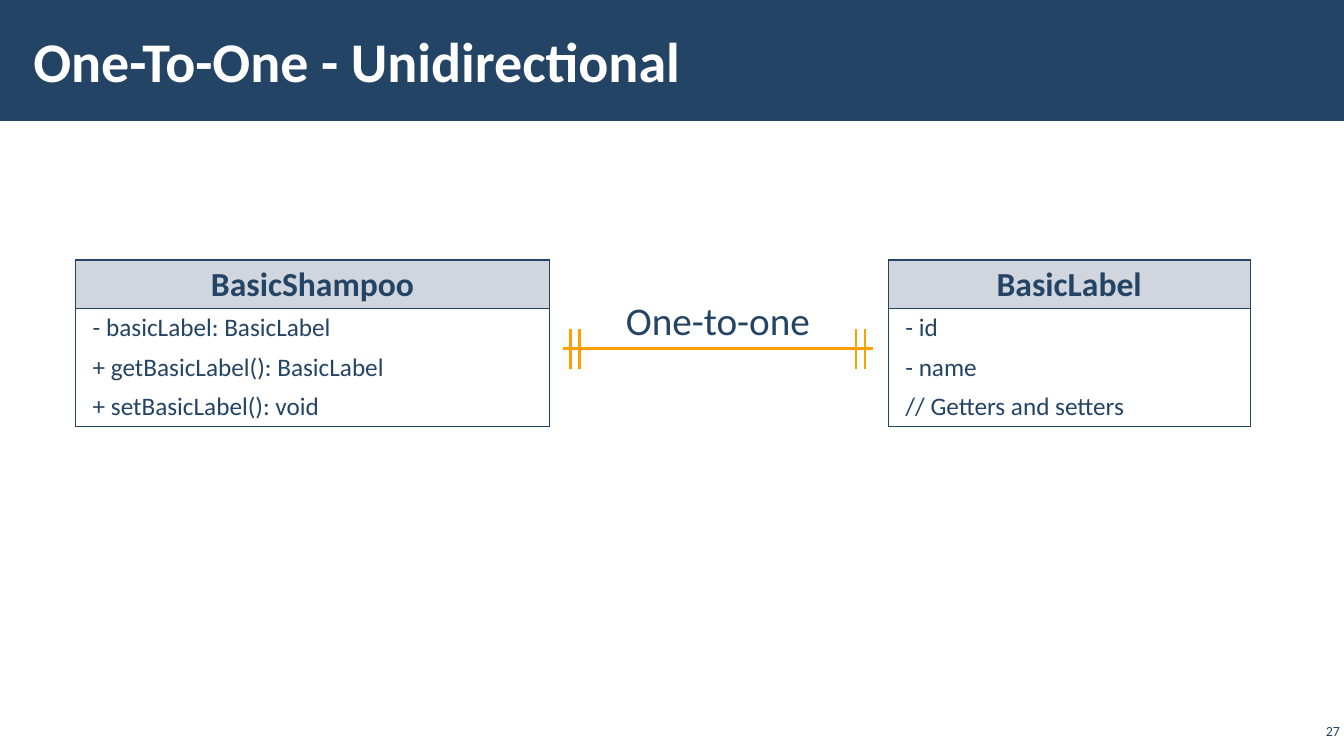
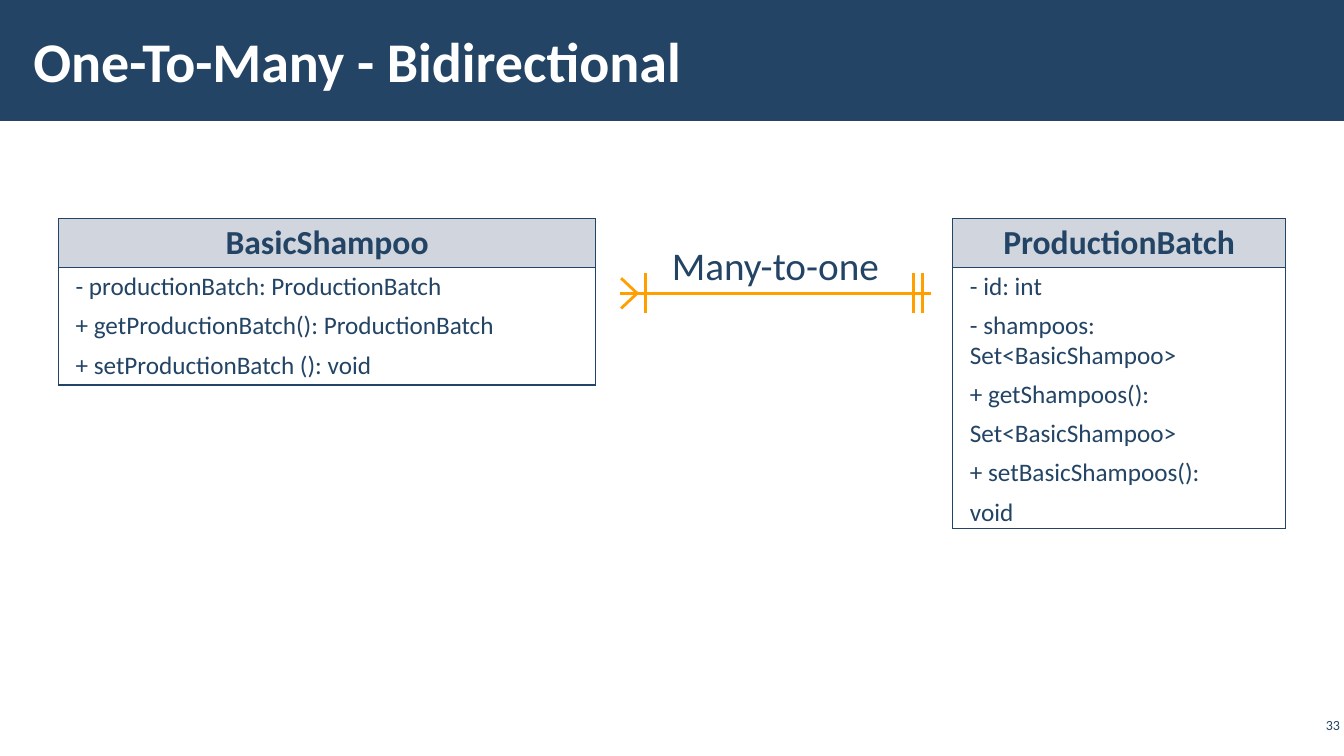
import pptx
import pptx.util
import pptx.dml.color
import pptx.enum.shapes
import pptx.enum.text
import pptx.oxml
import pptx.oxml.ns
from lxml import etree

Inches, Pt = pptx.util.Inches, pptx.util.Pt
ALIGN = pptx.enum.text.PP_ALIGN
MIDDLE = pptx.enum.text.MSO_ANCHOR.MIDDLE

WIDTH, HEIGHT = 13.33, 7.5
FONT = "Calibri"
NAVY, HEADER, ORANGE, WHITE = "234465", "D1D5DD", "FFA000", "FFFFFF"

HEADER_ROW, BODY_LINE = 0.48, 0.39
LINK_LENGTH, BAR_HALF = 3.08, 0.2
BAR_OFFSETS = {"one": (0.08, 0.17), "many": (0.25,)}
FOOT_REACH, FOOT_SPREAD = 0.17, 0.15

SLIDES = [
    {
        "title": "One-To-One - Unidirectional",
        "number": ("27", 7.14),
        "link": {"text": "One-to-one", "at": (5.58, 3.46), "ends": ("one", "one")},
        "top": 2.58,
        "classes": [
            ("BasicShampoo", 0.75, 4.7, [
                "- basicLabel: BasicLabel",
                "+ getBasicLabel(): BasicLabel",
                "+ setBasicLabel(): void",
            ]),
            ("BasicLabel", 8.81, 3.59, ["- id", "- name", "// Getters and setters"]),
        ],
    },
    {
        "title": "One-To-Many - Bidirectional",
        "number": ("33", 7.08),
        "link": {"text": "Many-to-one", "at": (6.15, 2.91), "ends": ("many", "one")},
        "top": 2.17,
        "classes": [
            ("BasicShampoo", 0.58, 5.33, [
                "- productionBatch: ProductionBatch",
                "+ getProductionBatch(): ProductionBatch",
                "+ setProductionBatch (): void",
            ]),
            ("ProductionBatch", 9.45, 3.3, [
                "- id: int",
                "- shampoos: Set<BasicShampoo>",
                "+ getShampoos():",
                "Set<BasicShampoo>",
                "+ setBasicShampoos():",
                "void",
            ]),
        ],
    },
]


def rgb(value):
    return pptx.dml.color.RGBColor.from_string(value)


def write(frame, lines, size, color=NAVY, bold=False, align=ALIGN.LEFT,
          spacing=None, gap=0):
    """Fill a text frame, one paragraph per line, with the gap between them."""
    for index, line in enumerate(lines):
        para = frame.add_paragraph() if index else frame.paragraphs[0]
        para.alignment = align
        para.space_before = Pt(gap if index else 0)
        if spacing:
            para.line_spacing = spacing
        span = para.add_run()
        span.text = line
        span.font.name, span.font.size, span.font.bold = FONT, Pt(size), bold
        span.font.color.rgb = rgb(color)


def add_text(page, text, area, inset=0.04, **style):
    box = page.shapes.add_textbox(*map(Inches, area))
    frame = box.text_frame
    frame.word_wrap = True
    frame.vertical_anchor = MIDDLE
    frame.margin_left = frame.margin_right = Inches(inset)
    frame.margin_top = frame.margin_bottom = Inches(0.04)
    write(frame, [text], **style)


def add_line(page, start, end):
    line = page.shapes.add_connector(
        pptx.enum.shapes.MSO_CONNECTOR.STRAIGHT, *map(Inches, (*start, *end)))
    line.line.color.rgb = rgb(ORANGE)
    line.line.width = Pt(2)
    etree.SubElement(line._element.spPr, pptx.oxml.ns.qn("a:effectLst"))


def add_link(page, text, at, ends):
    """Draw a relation line with its label and a cardinality mark at each end."""
    left, y = at
    right = left + LINK_LENGTH
    add_line(page, (left, y), (right, y))
    for x, inward, kind in ((left, 1, ends[0]), (right, -1, ends[1])):
        for offset in BAR_OFFSETS[kind]:
            bar = x + inward * offset
            add_line(page, (bar, y - BAR_HALF), (bar, y + BAR_HALF))
        if kind == "many":
            for side in (-1, 1):
                add_line(page, (x + inward * FOOT_REACH, y),
                         (x + inward * 0.01, y + side * FOOT_SPREAD))
    add_text(page, text, (left, y - 0.57, LINK_LENGTH, 0.57),
             size=28, align=ALIGN.CENTER)


def outline(cell):
    props = cell._tc.get_or_add_tcPr()
    for index, side in enumerate(("lnL", "lnR", "lnT", "lnB")):
        props.insert(index, pptx.oxml.parse_xml(
            f'<a:{side} {pptx.oxml.ns.nsdecls("a")} w="12700"><a:solidFill>'
            f'<a:srgbClr val="{NAVY}"/></a:solidFill></a:{side}>'))


def add_class(page, top, name, left, width, members):
    heights = (HEADER_ROW, BODY_LINE * len(members))
    table = page.shapes.add_table(
        2, 1, *map(Inches, (left, top, width, sum(heights)))).table
    rows = (
        (HEADER, [name], {"size": 24, "bold": True, "align": ALIGN.CENTER}),
        (WHITE, members, {"size": 18, "gap": 7.2}),
    )
    for index, (fill, lines, style) in enumerate(rows):
        table.rows[index].height = Inches(heights[index])
        cell = table.cell(index, 0)
        cell.margin_left = cell.margin_right = Inches(0.17)
        cell.margin_top = cell.margin_bottom = Inches(0.05)
        cell.fill.solid()
        cell.fill.fore_color.rgb = rgb(fill)
        outline(cell)
        write(cell.text_frame, lines, spacing=0.95, **style)


def add_frame(page, title, number):
    """Add the title band, title and page number that every slide has."""
    band = page.shapes.add_shape(
        pptx.enum.shapes.MSO_SHAPE.RECTANGLE, 0, 0, Inches(WIDTH), Inches(1.2))
    band.shadow.inherit = False
    band.fill.solid()
    band.fill.fore_color.rgb = rgb(NAVY)
    band.line.fill.background()
    add_text(page, title, (0.21, 0.11, 10.39, 0.97), inset=0.12,
             size=40, color=WHITE, bold=True)
    text, top = number
    add_text(page, text, (WIDTH - 0.47, top, 0.47, 0.22), size=10, align=ALIGN.RIGHT)


def main():
    deck = pptx.Presentation()
    deck.slide_width, deck.slide_height = Inches(WIDTH), Inches(HEIGHT)
    for content in SLIDES:
        page = deck.slides.add_slide(deck.slide_layouts[6])
        add_frame(page, content["title"], content["number"])
        add_link(page, **content["link"])
        for entry in content["classes"]:
            add_class(page, content["top"], *entry)
    deck.save("out.pptx")


if __name__ == "__main__":
    main()
